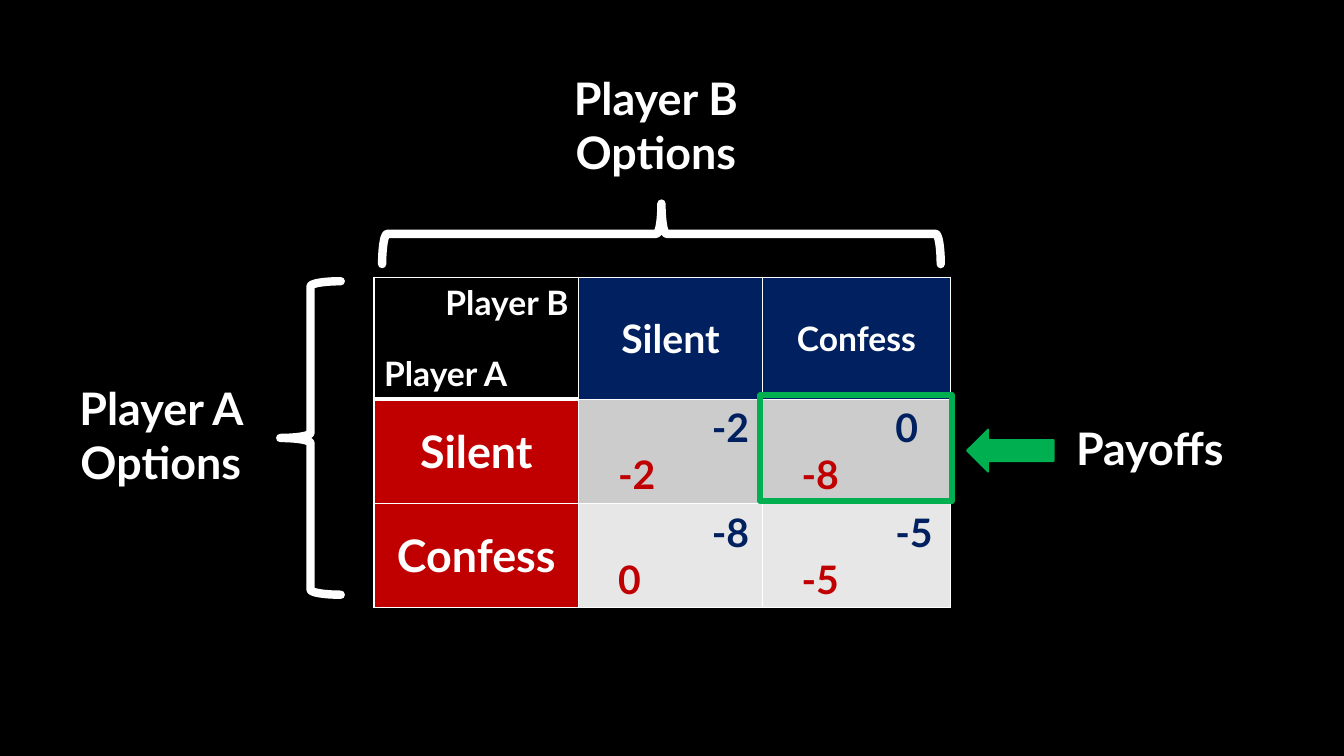
from dataclasses import dataclass

from lxml import etree
from pptx import Presentation
from pptx.dml.color import RGBColor
from pptx.enum.shapes import MSO_SHAPE
from pptx.enum.text import MSO_ANCHOR, PP_ALIGN
from pptx.oxml.ns import qn
from pptx.slide import Slide
from pptx.table import _Cell
from pptx.text.text import _Paragraph
from pptx.util import Inches, Pt

LEFT, CENTER = PP_ALIGN.LEFT, PP_ALIGN.CENTER
TOP, MIDDLE, BOTTOM = MSO_ANCHOR.TOP, MSO_ANCHOR.MIDDLE, MSO_ANCHOR.BOTTOM
BRACE, FRAME, ARROW = MSO_SHAPE.LEFT_BRACE, MSO_SHAPE.RECTANGLE, MSO_SHAPE.DOWN_ARROW

FONT = "Lato"
BLACK, WHITE, GREEN = "000000", "FFFFFF", "00B050"
NAVY, RED = "002060", "C00000"
DARK_GRAY, LIGHT_GRAY = "CCCCCC", "E7E7E7"

COLUMN_WIDTHS = (2.03, 1.82, 1.87)
ROW_HEIGHTS = (1.21, 1.03, 1.03)
PAYOFF_INDENTS = (1.22, 0.29)


@dataclass(frozen=True)
class Line:
    text: str
    size: int
    color: str = WHITE
    align: PP_ALIGN = CENTER
    indent: float = 0


@dataclass(frozen=True)
class Entry:
    lines: tuple[Line, ...]
    fill: str
    anchor: MSO_ANCHOR = MIDDLE
    top: float = 1
    bottom: float = 1


@dataclass(frozen=True)
class Label:
    line: Line
    box: tuple[float, float, float, float]


@dataclass(frozen=True)
class Marker:
    kind: MSO_SHAPE
    box: tuple[float, float, float, float]
    color: str
    weight: float
    rotation: int = 0
    fill: str | None = None


def rgb(color: str) -> RGBColor:
    return RGBColor.from_string(color)


def write_line(paragraph: _Paragraph, line: Line) -> None:
    paragraph.alignment = line.align
    if line.indent:
        paragraph._p.get_or_add_pPr().set("marL", str(Inches(line.indent)))
    run = paragraph.add_run()
    run.text = line.text
    run.font.name = FONT
    run.font.size = Pt(line.size)
    run.font.bold = True
    run.font.color.rgb = rgb(line.color)


def draw_borders(cell: _Cell, top: float, bottom: float) -> None:
    properties = cell._tc.get_or_add_tcPr()
    for tag, weight in (("a:lnL", 1), ("a:lnR", 1), ("a:lnT", top), ("a:lnB", bottom)):
        border = etree.SubElement(properties, qn(tag), w=str(Pt(weight)))
        fill = etree.SubElement(border, qn("a:solidFill"))
        etree.SubElement(fill, qn("a:srgbClr"), val=WHITE)


def fill_cell(cell: _Cell, entry: Entry) -> None:
    draw_borders(cell, entry.top, entry.bottom)
    cell.fill.solid()
    cell.fill.fore_color.rgb = rgb(entry.fill)
    cell.vertical_anchor = entry.anchor
    frame = cell.text_frame
    for index, line in enumerate(entry.lines):
        write_line(frame.add_paragraph() if index else frame.paragraphs[0], line)


def heading(text: str, size: int, fill: str, top: float = 1, bottom: float = 1) -> Entry:
    return Entry((Line(text, size),), fill, MIDDLE, top, bottom)


def payoff(player_b: str, player_a: str, fill: str, top: float = 1) -> Entry:
    lines = tuple(
        Line(value, 28, color, LEFT, indent)
        for value, color, indent in zip((player_b, player_a), (NAVY, RED), PAYOFF_INDENTS)
    )
    return Entry(lines, fill, TOP, top)


def add_matrix(slide: Slide, rows: tuple[tuple[Entry, ...], ...]) -> None:
    matrix = slide.shapes.add_table(
        len(ROW_HEIGHTS), len(COLUMN_WIDTHS), Inches(3.71), Inches(2.75),
        Inches(sum(COLUMN_WIDTHS)), Inches(sum(ROW_HEIGHTS)),
    ).table
    matrix.first_row = matrix.horz_banding = False
    for column, width in zip(matrix.columns, COLUMN_WIDTHS):
        column.width = Inches(width)
    for row, height, entries in zip(matrix.rows, ROW_HEIGHTS, rows):
        row.height = Inches(height)
        for cell, entry in zip(row.cells, entries):
            fill_cell(cell, entry)


def add_label(slide: Slide, label: Label) -> None:
    frame = slide.shapes.add_textbox(*map(Inches, label.box)).text_frame
    frame.word_wrap = True
    write_line(frame.paragraphs[0], label.line)


def add_marker(slide: Slide, marker: Marker) -> None:
    shape = slide.shapes.add_shape(marker.kind, *map(Inches, marker.box))
    shape.shadow.inherit = False
    shape.rotation = marker.rotation
    if marker.fill:
        shape.fill.solid()
        shape.fill.fore_color.rgb = rgb(marker.fill)
    else:
        shape.fill.background()
    shape.line.color.rgb = rgb(marker.color)
    shape.line.width = Pt(marker.weight)
    if marker.kind == BRACE:
        shape.line._get_or_add_ln().set("cap", "rnd")


MATRIX = (
    (
        Entry((Line("Player A", 24, align=LEFT),), BLACK, BOTTOM, bottom=3),
        heading("Silent", 28, NAVY, bottom=0.25),
        heading("Confess", 24, NAVY, bottom=0.25),
    ),
    (
        heading("Silent", 32, RED, top=3),
        payoff("-2", "-2", DARK_GRAY, top=0.25),
        payoff("0", "-8", DARK_GRAY, top=0.25),
    ),
    (
        heading("Confess", 32, RED),
        payoff("-8", "0", LIGHT_GRAY),
        payoff("-5", "-5", LIGHT_GRAY),
    ),
)

LABELS = (
    Label(Line("Player B", 24, align=LEFT), (4.32, 2.75, 1.71, 0.5)),
    Label(Line("Player A Options", 32), (0.37, 3.73, 2.45, 1.18)),
    Label(Line("Player B Options", 32), (5.28, 0.65, 2.45, 1.18)),
    Label(Line("Payoffs", 32), (10.18, 4.12, 2.45, 0.64)),
)

MARKERS = (
    Marker(BRACE, (2.78, 2.79, 0.6, 3.11), WHITE, 6),
    Marker(BRACE, (6.26, -0.45, 0.6, 5.54), WHITE, 6, rotation=90),
    Marker(FRAME, (7.54, 3.92, 1.9, 1.05), GREEN, 4.5),
    Marker(ARROW, (9.81, 4.04, 0.42, 0.86), GREEN, 1.25, rotation=90, fill=GREEN),
)


def main() -> None:
    presentation = Presentation()
    presentation.slide_width = Inches(13.33)
    presentation.slide_height = Inches(7.5)
    slide = presentation.slides.add_slide(presentation.slide_layouts[6])
    slide.background.fill.solid()
    slide.background.fill.fore_color.rgb = rgb(BLACK)
    add_matrix(slide, MATRIX)
    for label in LABELS:
        add_label(slide, label)
    for marker in MARKERS:
        add_marker(slide, marker)
    presentation.save("out.pptx")


if __name__ == "__main__":
    main()
